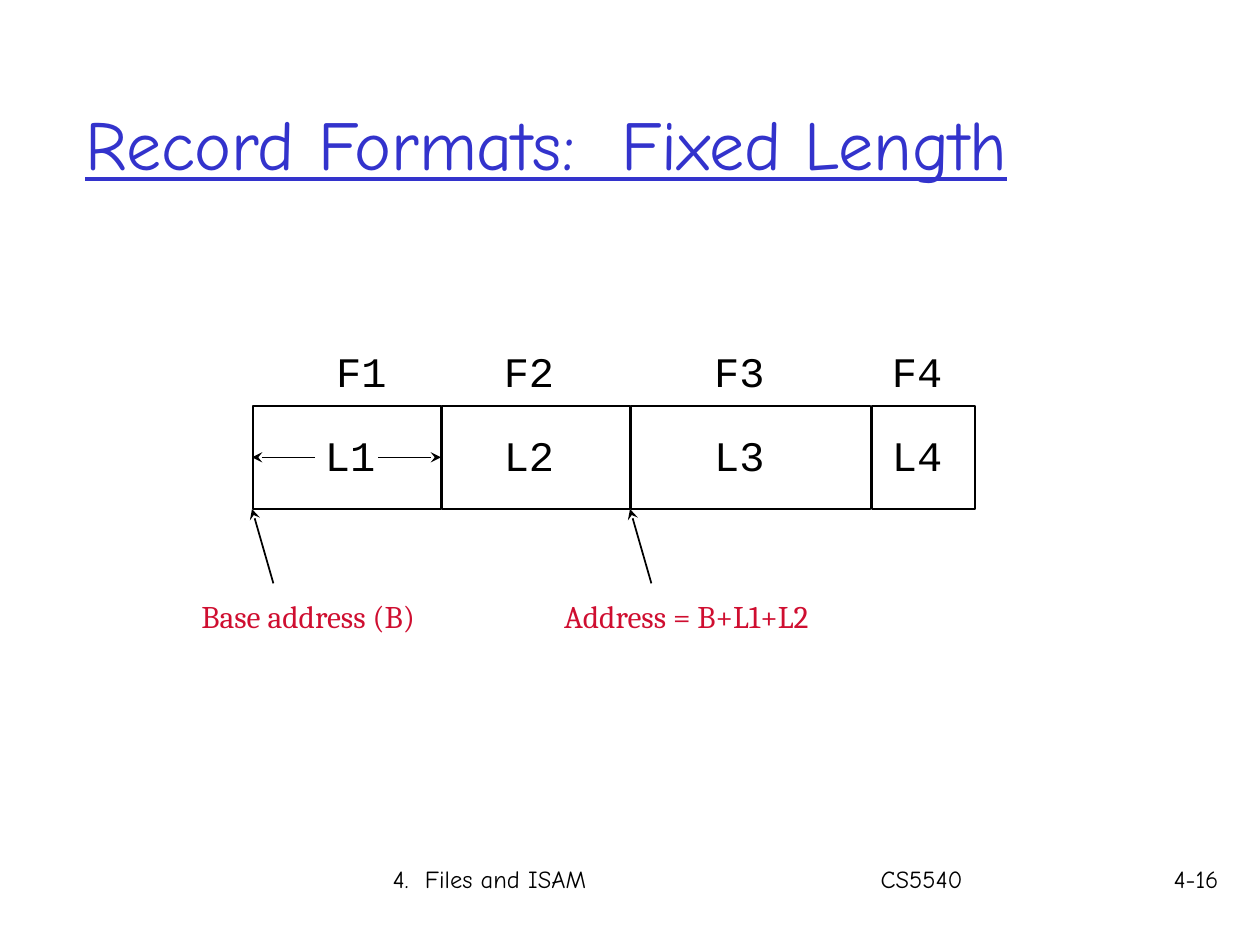
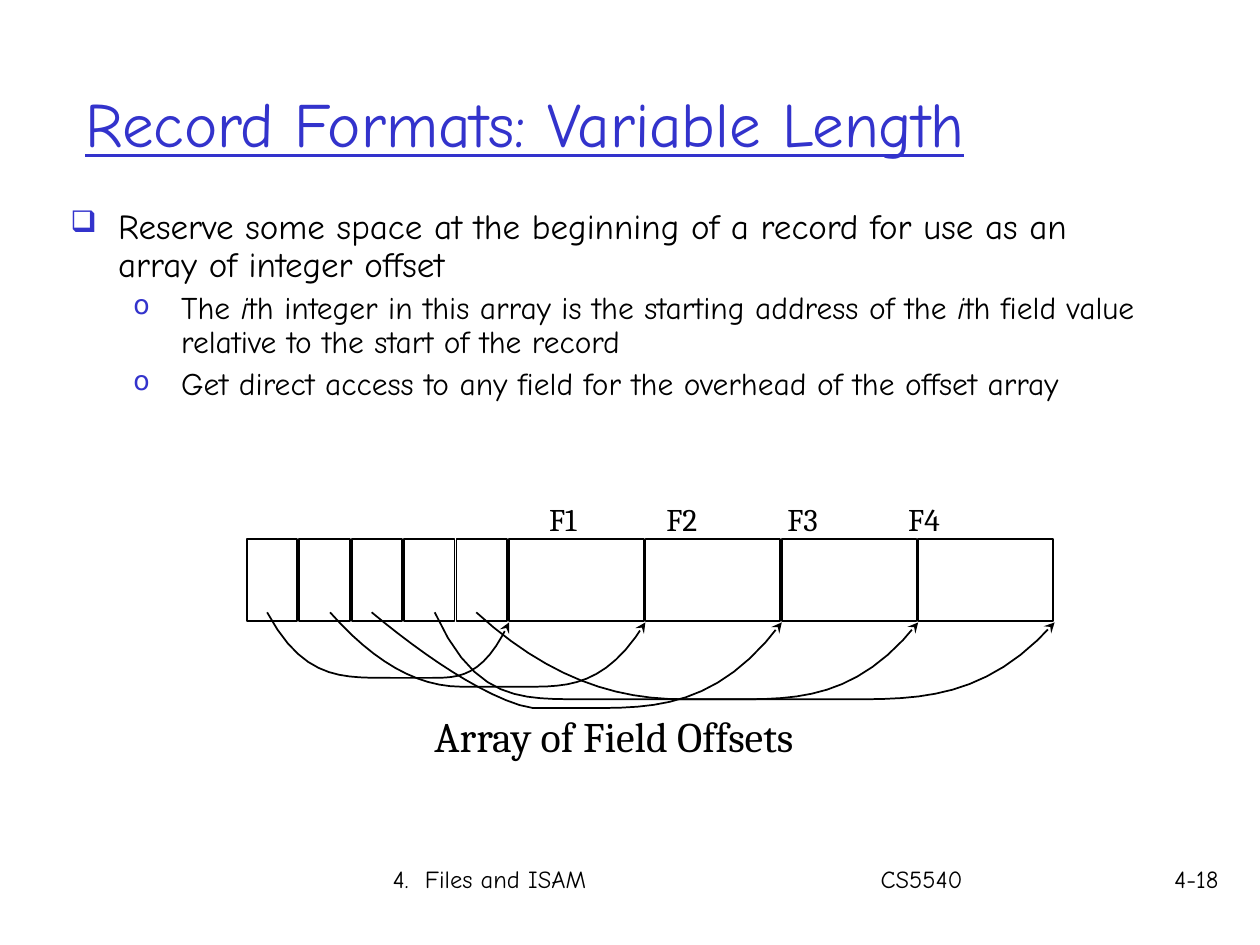
from dataclasses import dataclass

from lxml.etree import SubElement
from pptx import Presentation
from pptx.dml.color import RGBColor
from pptx.enum.shapes import MSO_CONNECTOR, MSO_SHAPE
from pptx.enum.text import MSO_ANCHOR, PP_ALIGN
from pptx.oxml.ns import qn
from pptx.util import Inches, Pt

BLACK = RGBColor(0x00, 0x00, 0x00)
WHITE = RGBColor(0xFF, 0xFF, 0xFF)
BLUE = RGBColor(0x33, 0x33, 0xCC)
RED = RGBColor(0xCF, 0x0E, 0x30)
HAND, SERIF, MONO = "Comic Neue", "Cambria", "Courier New"


@dataclass(frozen=True)
class TextStyle:
    size: float
    font: str
    color: RGBColor = BLACK
    underline: bool = False


@dataclass(frozen=True)
class Field:
    name: str
    length: str
    width: float
    name_left: float
    length_left: float


@dataclass(frozen=True)
class Bullet:
    spans: tuple[str, ...]  # every second span is italic
    level: int
    size: float
    space_before: float
    symbol: str


@dataclass(frozen=True)
class OffsetCurve:
    """Falls from an offset cell, runs flat at the bottom, rises to a field limit."""
    start: float
    flat_start: float
    flat_end: float
    bottom: float
    fall_power: float  # higher means a steeper first drop


FOOTER = TextStyle(14, HAND)
FIELD_LABEL = TextStyle(24, MONO)
ADDRESS_LABEL = TextStyle(18, SERIF, RED)
FIELD_NAMES = TextStyle(18, SERIF)
CAPTION = TextStyle(24, SERIF)

# Fixed-length record
RECORD_LEFT, RECORD_TOP, RECORD_HEIGHT, FIELD_GAP = 2.01, 3.22, 0.82, 0.01
FIELDS = (
    Field("F1", "L1", 1.49, 2.57, 2.48),
    Field("F2", "L2", 1.49, 3.9, 3.9),
    Field("F3", "L3", 1.9, 5.57, 5.57),
    Field("F4", "L4", 0.82, 6.98, 6.98),
)

# Variable-length record: an array of offsets, then the fields
OFFSETS_LEFT, FIELDS_LEFT, FIELDS_RIGHT = 1.96, 4.04, 8.37
OFFSET_COUNT, FIELD_COUNT = 5, 4
OFFSET_STEP = (FIELDS_LEFT - OFFSETS_LEFT) / OFFSET_COUNT
FIELD_STEP = (FIELDS_RIGHT - FIELDS_LEFT) / FIELD_COUNT
CELL_TOP, CELL_HEIGHT = 4.28, 0.65

CURVE_TOP, CURVE_END, CURVE_STEPS, RISE_POWER = 4.86, 4.94, 12, 3
OFFSET_CURVES = (
    OffsetCurve(2.12, 3.1, 3.43, 5.38, 3.5),
    OffsetCurve(2.62, 3.66, 4.19, 5.45, 2),
    OffsetCurve(2.95, 4.23, 4.68, 5.62, 1.4),
    OffsetCurve(3.45, 4.71, 5.84, 5.55, 4),
    OffsetCurve(3.78, 5.44, 6.75, 5.55, 2.2),
)

BULLETS = (
    Bullet(("Reserve some space at the beginning of a record for use as an "
            "array of integer offset",), 0, 20, 5, "❑"),
    Bullet(("The ", "i", "th integer in this array is the starting address of the ",
            "i", "th field value relative to the start of the record"),
           1, 18, 4.5, "o"),
    Bullet(("Get direct access to any field for the overhead of the offset array",),
           1, 18, 4.5, "o"),
)


# Text
def style_run(span, style: TextStyle) -> None:
    span.font.size = Pt(style.size)
    span.font.name = style.font
    span.font.color.rgb = style.color
    if style.underline:
        span.font.underline = True


def add_text(page, text: str, left: float, top: float, width: float, height: float,
             style: TextStyle, wrap: bool = False):
    box = page.shapes.add_textbox(Inches(left), Inches(top), Inches(width), Inches(height))
    box.text_frame.text = text
    box.text_frame.word_wrap = wrap
    for span in box.text_frame.paragraphs[0].runs:
        style_run(span, style)
    return box


def set_tabs(box, stops: list[float]) -> None:
    properties = box.text_frame.paragraphs[0]._p.get_or_add_pPr()
    tab_list = SubElement(properties, qn("a:tabLst"))
    for stop in stops:
        SubElement(tab_list, qn("a:tab"), pos=str(Inches(stop)), algn="l")


def set_bullet(para, bullet: Bullet) -> None:
    properties = para._p.get_or_add_pPr()
    properties.set("marL", str(Inches(0.38 + 0.5 * bullet.level)))
    properties.set("indent", str(Inches(-0.38)))
    color = SubElement(properties, qn("a:buClr"))
    SubElement(color, qn("a:srgbClr"), val=str(BLUE))
    SubElement(properties, qn("a:buSzPct"), val="85000")
    SubElement(properties, qn("a:buChar"), char=bullet.symbol)


def add_bullets(page) -> None:
    box = page.shapes.add_textbox(Inches(0.46), Inches(1.61), Inches(8.66), Inches(2.41))
    box.fill.solid()
    box.fill.fore_color.rgb = WHITE
    frame = box.text_frame
    frame.word_wrap = True
    for index, bullet in enumerate(BULLETS):
        para = frame.add_paragraph() if index else frame.paragraphs[0]
        para.level = bullet.level
        para.line_spacing = 0.9
        para.space_before = Pt(bullet.space_before)
        set_bullet(para, bullet)
        for position, text in enumerate(bullet.spans):
            span = para.add_run()
            span.text = text
            style_run(span, TextStyle(bullet.size, HAND))
            span.font.italic = position % 2 == 1


# Shapes and lines
def set_line(shape, arrow: bool = False) -> None:
    shape.line.color.rgb = BLACK
    shape.line.width = Pt(1)
    if arrow:
        SubElement(shape.line._get_or_add_ln(), qn("a:tailEnd"), type="stealth")


def add_cell(page, left: float, top: float, width: float, height: float) -> None:
    cell = page.shapes.add_shape(MSO_SHAPE.RECTANGLE, Inches(left), Inches(top),
                                 Inches(width), Inches(height))
    cell.shadow.inherit = False
    cell.fill.background()
    set_line(cell)


def add_cell_row(page, left: float, step: float, width: float, count: int) -> None:
    for index in range(count):
        add_cell(page, left + index * step, CELL_TOP, width, CELL_HEIGHT)


def add_arrow(page, start: tuple[float, float], end: tuple[float, float]) -> None:
    arrow = page.shapes.add_connector(MSO_CONNECTOR.STRAIGHT, Inches(start[0]),
                                      Inches(start[1]), Inches(end[0]), Inches(end[1]))
    set_line(arrow, arrow=True)
    SubElement(arrow._element.spPr, qn("a:effectLst"))


def slope_points(outer: float, inner: float, top: float, bottom: float,
                 power: float) -> list[tuple[float, float]]:
    """Points from the outer top to the inner bottom, flattening on the way."""
    shares = [step / CURVE_STEPS for step in range(CURVE_STEPS + 1)]
    return [(outer + (inner - outer) * share, bottom - (bottom - top) * (1 - share) ** power)
            for share in shares]


def add_curve(page, curve: OffsetCurve, end: float) -> None:
    fall = slope_points(curve.start, curve.flat_start, CURVE_TOP, curve.bottom,
                        curve.fall_power)
    rise = slope_points(end, curve.flat_end, CURVE_END, curve.bottom, RISE_POWER)
    first, *rest = [(Inches(x), Inches(y)) for x, y in fall + rise[::-1]]
    builder = page.shapes.build_freeform(*first)
    builder.add_line_segments(rest, close=False)
    shape = builder.convert_to_shape()
    shape.shadow.inherit = False
    shape.fill.background()
    set_line(shape, arrow=True)


# Title and footer shared by the slides
def add_page(deck, title: str, title_top: float, title_size: float, number: str):
    page = deck.slides.add_slide(deck.slide_layouts[6])
    footer = add_text(page, "4.  Files and ISAM\tCS5540", 3.02, 6.81, 5.99, 0.5,
                      FOOTER, wrap=True)
    set_tabs(footer, [3.87])
    heading = add_text(page, title, 0.58, title_top, 8.5, 1.24,
                       TextStyle(title_size, HAND, BLUE, underline=True), wrap=True)
    heading.text_frame.vertical_anchor = MSO_ANCHOR.MIDDLE
    page_number = add_text(page, number, 9.03, 6.81, 0.74, 0.5, FOOTER, wrap=True)
    page_number.text_frame.paragraphs[0].alignment = PP_ALIGN.RIGHT
    return page


def build_fixed_length(deck) -> None:
    page = add_page(deck, "Record Formats:  Fixed Length", 0.51, 40, "4-16")

    # Record with four fields
    left = RECORD_LEFT
    for field in FIELDS:
        add_cell(page, left, RECORD_TOP, field.width, RECORD_HEIGHT)
        add_text(page, field.name, field.name_left, 2.69, 0.6, 0.5, FIELD_LABEL)
        add_text(page, field.length, field.length_left, 3.36, 0.6, 0.5, FIELD_LABEL)
        left += field.width + FIELD_GAP

    # Extent of the first field
    for start, end in ((2.5, 2), (3, 3.5)):
        add_arrow(page, (start, 3.63), (end, 3.63))

    # Addresses
    for target, text, label_left, width in ((2, "Base address (B)", 1.5, 2.14),
                                            (5, "Address = B+L1+L2", 4.38, 2.46)):
        add_arrow(page, (target + 0.17, 4.63), (target, RECORD_TOP + RECORD_HEIGHT))
        add_text(page, text, label_left, 4.69, width, 0.4, ADDRESS_LABEL)


def build_variable_length(deck) -> None:
    page = add_page(deck, "Record Formats: Variable Length", 0.35, 36, "4-18")

    # Offset array followed by the fields
    names = add_text(page, "F1\tF2\tF3\tF4", 4.26, 3.92, 3.88, 0.4, FIELD_NAMES, wrap=True)
    set_tabs(names, [0.93, 1.89, 2.85])
    add_cell_row(page, OFFSETS_LEFT, OFFSET_STEP, 0.4, OFFSET_COUNT)
    add_cell_row(page, FIELDS_LEFT, FIELD_STEP, 1.07, FIELD_COUNT)

    # Offsets pointing at the field limits
    for index, curve in enumerate(OFFSET_CURVES):
        add_curve(page, curve, FIELDS_LEFT + index * FIELD_STEP)
    add_text(page, "Array of Field Offsets", 3.35, 5.59, 3.57, 0.5, CAPTION)
    add_bullets(page)


def main() -> None:
    deck = Presentation()
    deck.slide_width, deck.slide_height = Inches(10), Inches(7.5)
    build_fixed_length(deck)
    build_variable_length(deck)
    deck.save("out.pptx")


if __name__ == "__main__":
    main()
